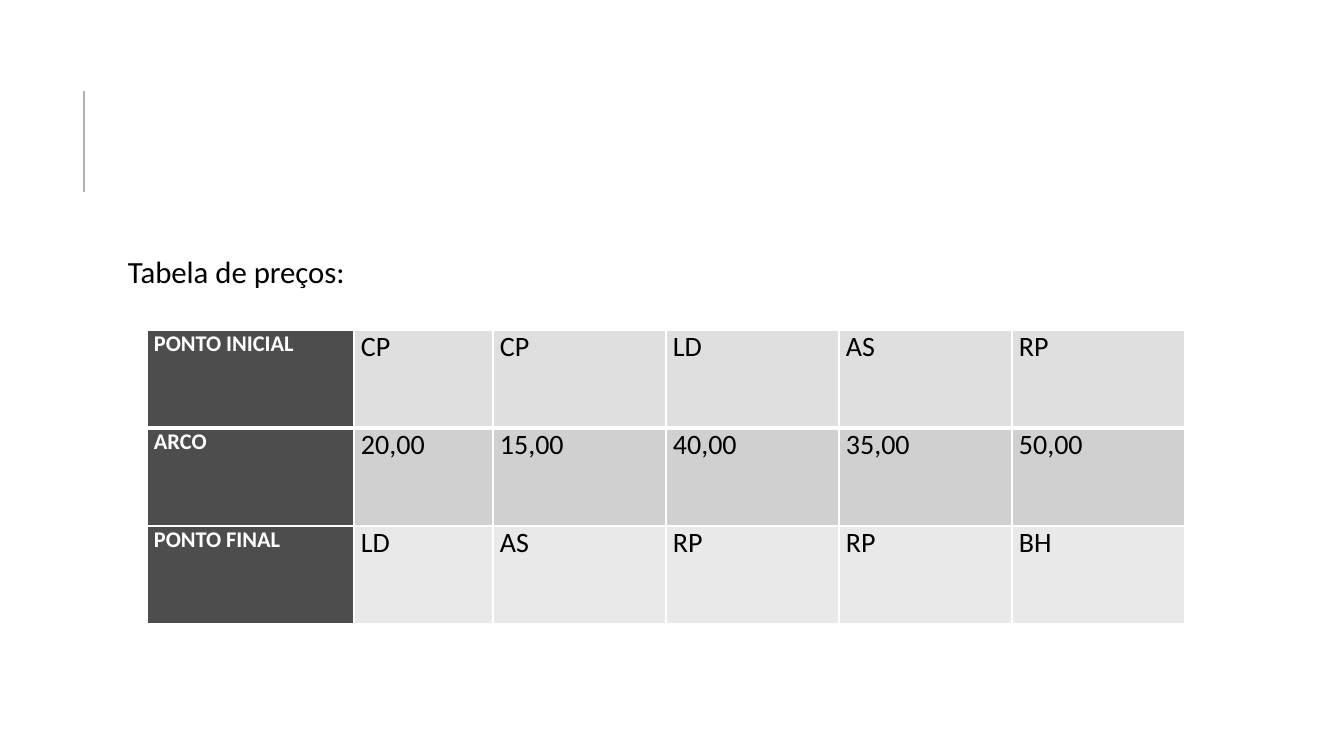
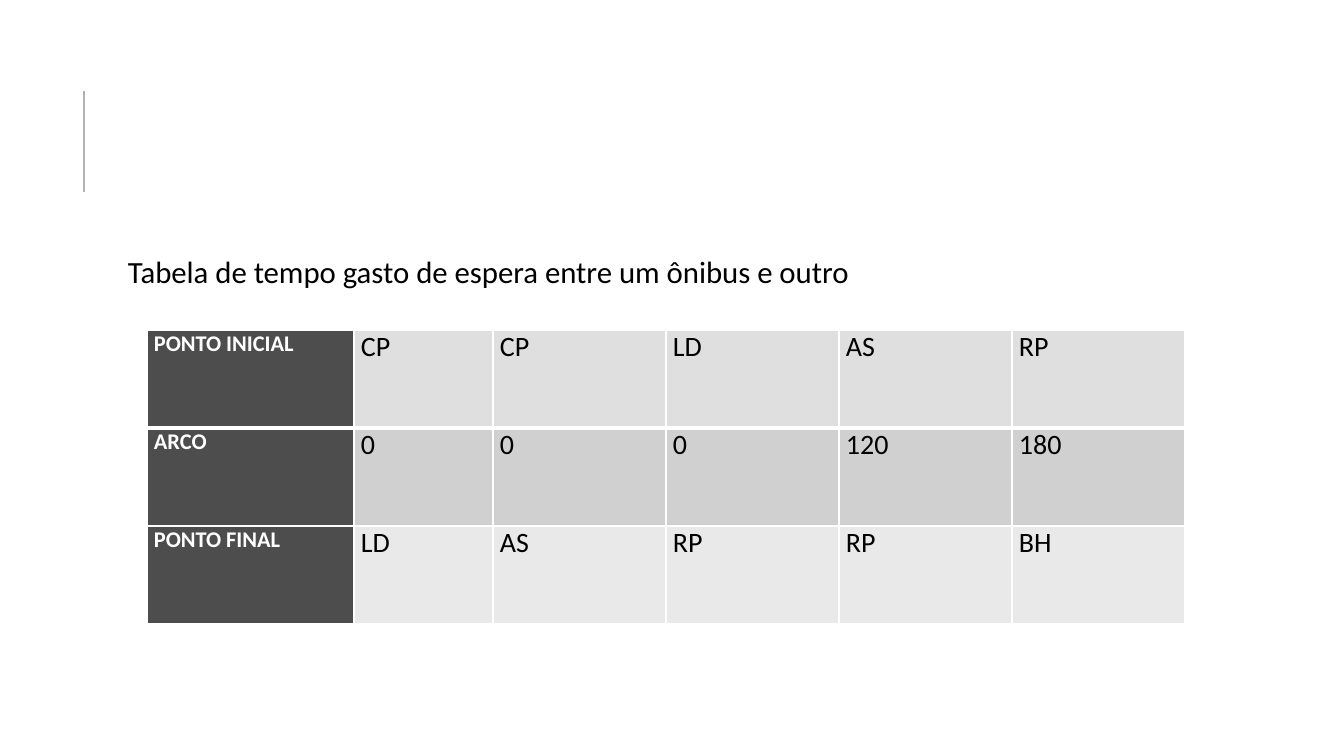
import dataclasses
import lxml.etree
import pptx
import pptx.dml.color
import pptx.enum.shapes
import pptx.enum.text
import pptx.oxml.ns
import pptx.presentation
import pptx.slide
import pptx.table
import pptx.text.text
import pptx.util

SCALE = 914400 / 100.8
FONT = "Calibri"
HUES = {
    "white": "FFFFFF",
    "black": "000000",
    "rule": "B2B2B2",
    "head": "4D4D4D",
    "top": "DFDFDF",
    "mid": "D0D0D0",
    "low": "E9E9E9",
}
COLS = (207, 139, 173, 173, 173, 173)
TALL = 98


@dataclasses.dataclass(frozen=True)
class Style:
    size: int
    hue: str
    bold: bool
    before: int
    after: int


@dataclasses.dataclass(frozen=True)
class Row:
    head: str
    cells: tuple[str, ...]
    hue: str
    above: int = 1
    below: int = 1


@dataclasses.dataclass(frozen=True)
class Page:
    title: str
    costs: tuple[str, ...]


TITLE = Style(22, "black", False, 12, 2)
HEAD = Style(16, "white", True, 3, 3)
BODY = Style(20, "black", False, 3, 3)
START = Row("PONTO INICIAL", ("CP", "CP", "LD", "AS", "RP"), "top", below=3)
END = Row("PONTO FINAL", ("LD", "AS", "RP", "RP", "BH"), "low")
PAGES = (
    Page("Tabela de preços:", ("20,00", "15,00", "40,00", "35,00", "50,00")),
    Page("Tabela de tempo gasto de espera entre um ônibus e outro",
         ("0", "0", "0", "120", "180")),
)


def px(count: int) -> pptx.util.Emu:
    return pptx.util.Emu(round(count * SCALE))


def tint(name: str) -> pptx.dml.color.RGBColor:
    return pptx.dml.color.RGBColor.from_string(HUES[name])


def write(frame: pptx.text.text.TextFrame, text: str, style: Style) -> None:
    frame.text = text
    line = frame.paragraphs[0]
    line.space_before = pptx.util.Pt(style.before)
    line.space_after = pptx.util.Pt(style.after)
    for run in line.runs:
        run.font.name = FONT
        run.font.size = pptx.util.Pt(style.size)
        run.font.bold = style.bold
        run.font.color.rgb = tint(style.hue)


def draw_rule(slide: pptx.slide.Slide) -> None:
    rule = slide.shapes.add_connector(
        pptx.enum.shapes.MSO_CONNECTOR.STRAIGHT, px(84), px(192), px(84), px(91))
    rule.line.color.rgb = tint("rule")
    rule.line.width = pptx.util.Pt(1.5)
    lxml.etree.SubElement(rule._element.spPr, pptx.oxml.ns.qn("a:effectLst"))


def draw_title(slide: pptx.slide.Slide, text: str) -> None:
    box = slide.shapes.add_textbox(px(113), px(252), px(1072), px(444))
    frame = box.text_frame
    frame.word_wrap = True
    frame.margin_left = px(15)
    frame.margin_top = frame.margin_right = frame.margin_bottom = px(5)
    write(frame, text, TITLE)
    frame.paragraphs[0].line_spacing = 0.9


def edge(cell: pptx.table._Cell, row: Row) -> None:
    props = cell._tc.get_or_add_tcPr()
    sides = {"lnL": 1, "lnR": 1, "lnT": row.above, "lnB": row.below}
    for side, width in sides.items():
        line = lxml.etree.SubElement(
            props, pptx.oxml.ns.qn(f"a:{side}"), w=str(pptx.util.Pt(width)))
        fill = lxml.etree.SubElement(line, pptx.oxml.ns.qn("a:solidFill"))
        lxml.etree.SubElement(
            fill, pptx.oxml.ns.qn("a:srgbClr"), val=HUES["white"])


def draw_cell(cell: pptx.table._Cell, text: str, row: Row, first: bool) -> None:
    edge(cell, row)
    cell.fill.solid()
    cell.fill.fore_color.rgb = tint("head" if first else row.hue)
    cell.margin_left = cell.margin_right = px(7)
    cell.margin_top = cell.margin_bottom = 0
    write(cell.text_frame, text, HEAD if first else BODY)
    cell.text_frame.paragraphs[0].alignment = pptx.enum.text.PP_ALIGN.JUSTIFY


def draw_grid(slide: pptx.slide.Slide, rows: tuple[Row, ...]) -> None:
    grid = slide.shapes.add_table(
        len(rows), len(COLS), px(147), px(330),
        px(sum(COLS)), px(TALL * len(rows))).table
    grid.first_row = False
    grid.horz_banding = False
    for col, width in zip(grid.columns, COLS):
        col.width = px(width)
    for r, row in enumerate(rows):
        grid.rows[r].height = px(TALL)
        for c, text in enumerate((row.head, *row.cells)):
            draw_cell(grid.cell(r, c), text, row, c == 0)


def draw_page(deck: pptx.presentation.Presentation, page: Page) -> None:
    slide = deck.slides.add_slide(deck.slide_layouts[6])
    draw_rule(slide)
    draw_title(slide, page.title)
    draw_grid(slide, (START, Row("ARCO", page.costs, "mid", above=3), END))


def main() -> None:
    deck = pptx.Presentation()
    deck.slide_width = px(1344)
    deck.slide_height = px(756)
    for page in PAGES:
        draw_page(deck, page)
    deck.save("out.pptx")


main()
